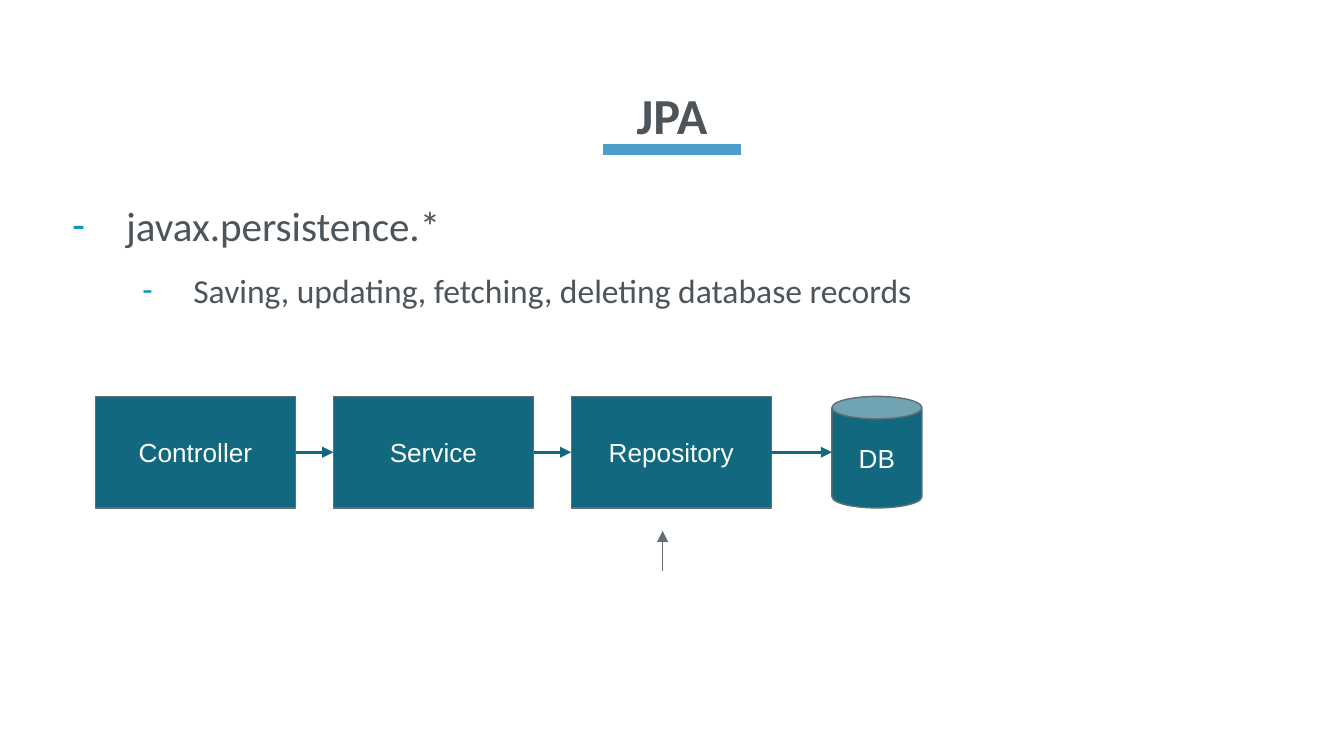
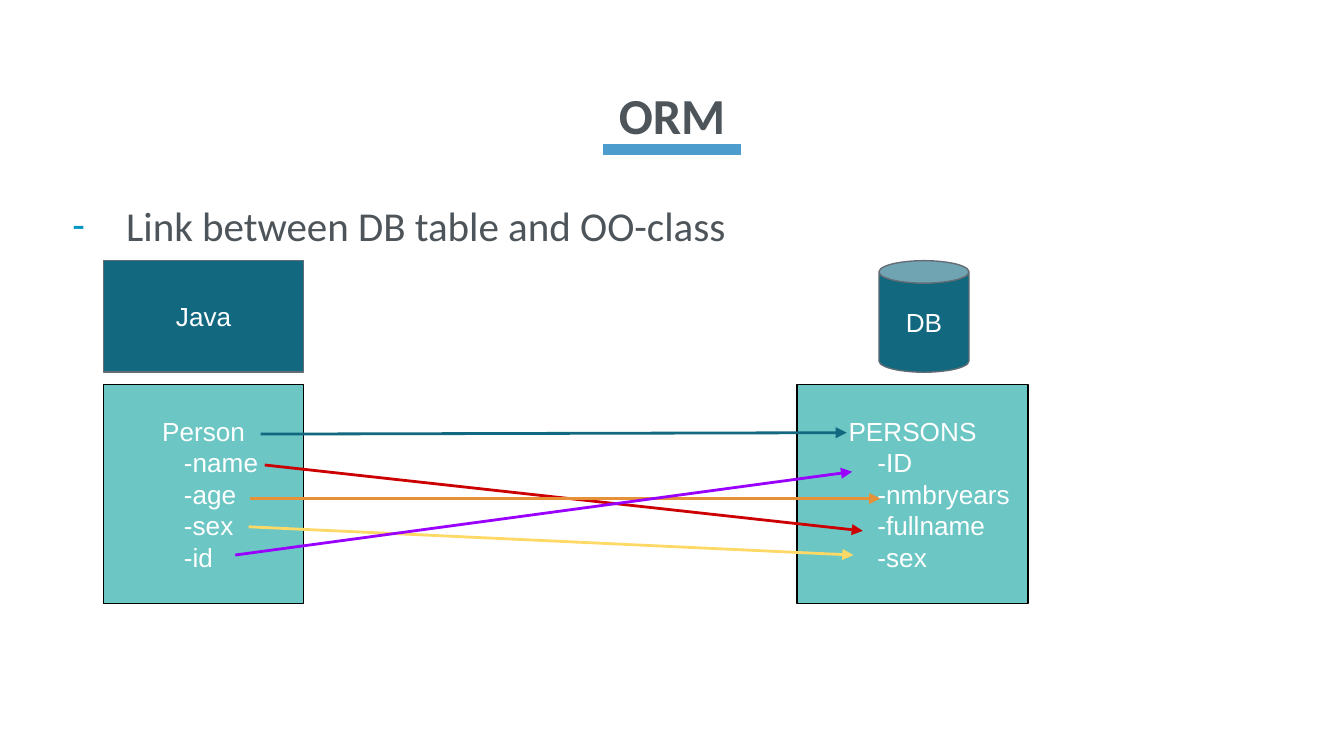
from dataclasses import dataclass
from itertools import pairwise

from lxml.etree import SubElement
from pptx import Presentation
from pptx.dml.color import RGBColor
from pptx.enum.shapes import MSO_CONNECTOR, MSO_SHAPE
from pptx.enum.text import MSO_ANCHOR, PP_ALIGN
from pptx.oxml.ns import qn
from pptx.util import Inches, Pt

COLORS = {
    "text": "4D555B",
    "rule": "4C9DCD",
    "bullet": "0098C3",
    "box": "11687F",
    "outline": "636D75",
    "entity": "6BC6C4",
    "black": "000000",
    "white": "FFFFFF",
    "red": "CC0000",
    "orange": "E69138",
    "yellow": "FFD966",
    "purple": "9900FF",
}
SLIDE_WIDTH = Inches(10)
SLIDE_HEIGHT = SLIDE_WIDTH * 9 // 16
BOX_WIDTH, BOX_HEIGHT = 1.49, 0.83
CAN_WIDTH = 0.67
ENTITY_TOP, ENTITY_HEIGHT = 2.86, 1.63
RECTANGLE, CAN = MSO_SHAPE.RECTANGLE, MSO_SHAPE.CAN


@dataclass(frozen=True)
class Box:
    lines: tuple[str, ...]
    left: float
    top: float
    width: float = BOX_WIDTH
    height: float = BOX_HEIGHT
    kind: MSO_SHAPE = RECTANGLE
    fill: str = "box"
    outline: str = "outline"


@dataclass(frozen=True)
class Arrow:
    start: tuple[float, float]
    end: tuple[float, float]
    color: str = "box"
    width: float = 1.5


@dataclass(frozen=True)
class Bullet:
    text: str
    size: int
    margin: float
    indent: float
    level: int = 0


def rgb(name: str) -> RGBColor:
    return RGBColor.from_string(COLORS[name])


def write_text(paragraph, text: str, *, size: int, color: str = "text", font: str = "Calibri",
               bold: bool = False, align=PP_ALIGN.LEFT, spacing: float = 1.0,
               margin: float = 0, indent: float = 0, bullet: str = "") -> None:
    paragraph.alignment = align
    paragraph.line_spacing = spacing
    run = paragraph.add_run()
    run.text = text
    run.font.name = font
    run.font.size = Pt(size)
    run.font.bold = bold
    run.font.color.rgb = rgb(color)
    properties = paragraph._p.get_or_add_pPr()
    properties.set("marL", str(Inches(margin)))
    properties.set("indent", str(Inches(indent)))
    if bullet:
        bullet_color = SubElement(properties, qn("a:buClr"))
        SubElement(bullet_color, qn("a:srgbClr"), val=COLORS["bullet"])
        SubElement(properties, qn("a:buFont"), typeface=font)
        SubElement(properties, qn("a:buChar"), char=bullet)


def paragraphs_for(text_frame, count: int) -> list:
    return [text_frame.paragraphs[0], *(text_frame.add_paragraph() for _ in range(count - 1))]


def add_text_frame(slide, top: float, height: float, anchor):
    shape = slide.shapes.add_textbox(Inches(0.34), Inches(top), Inches(9.32), Inches(height))
    text_frame = shape.text_frame
    text_frame.word_wrap = True
    text_frame.vertical_anchor = anchor
    return text_frame


def draw_line(slide, line: Arrow, head: bool = True):
    connector = slide.shapes.add_connector(
        MSO_CONNECTOR.STRAIGHT, *(Inches(value) for value in (*line.start, *line.end)))
    connector.line.color.rgb = rgb(line.color)
    connector.line.width = Pt(line.width)
    properties = connector.element.spPr
    if head:
        SubElement(properties.find(qn("a:ln")), qn("a:tailEnd"), type="triangle")
    SubElement(properties, qn("a:effectLst"))
    return connector


def draw_box(slide, box: Box):
    shape = slide.shapes.add_shape(
        box.kind, Inches(box.left), Inches(box.top), Inches(box.width), Inches(box.height))
    shape.shadow.inherit = False
    shape.fill.solid()
    shape.fill.fore_color.rgb = rgb(box.fill)
    shape.line.color.rgb = rgb(box.outline)
    shape.line.width = Pt(0.75)
    text_frame = shape.text_frame
    text_frame.word_wrap = True
    text_frame.vertical_anchor = MSO_ANCHOR.MIDDLE
    text_frame.margin_left = text_frame.margin_right = Inches(0.1)
    text_frame.margin_top = text_frame.margin_bottom = Inches(0.1)
    paragraphs = paragraphs_for(text_frame, len(box.lines))
    for index, (paragraph, text) in enumerate(zip(paragraphs, box.lines)):
        write_text(paragraph, text, size=14, color="white", font="Arial",
                   align=PP_ALIGN.LEFT if index else PP_ALIGN.CENTER,
                   margin=0.5 if index else 0)
    return shape


def add_content_slide(presentation, title: str, bullets: tuple[Bullet, ...]):
    slide = presentation.slides.add_slide(presentation.slide_layouts[6])
    draw_line(slide, Arrow((4.49, 1.11), (5.51, 1.11), "rule", 6), head=False)
    heading = add_text_frame(slide, 0.49, 0.63, MSO_ANCHOR.BOTTOM)
    write_text(heading.paragraphs[0], title, size=27, bold=True,
               align=PP_ALIGN.CENTER, spacing=0.8)
    body = add_text_frame(slide, 1.26, 3.74, MSO_ANCHOR.TOP)
    for paragraph, bullet in zip(paragraphs_for(body, len(bullets)), bullets):
        paragraph.level = bullet.level
        write_text(paragraph, bullet.text, size=bullet.size, spacing=1.5,
                   margin=bullet.margin, indent=bullet.indent, bullet="-")
    return slide


def build_jpa_slide(presentation) -> None:
    slide = add_content_slide(presentation, "JPA", (
        Bullet("javax.persistence.*", 22, 0.5, -0.4),
        Bullet("Saving, updating, fetching, deleting database records", 18, 1, -0.38, 1),
    ))
    top = 2.95
    middle = top + BOX_HEIGHT / 2
    database_left = 6.19
    layers = [
        draw_box(slide, Box((name,), 0.71 + 1.77 * index, top))
        for index, name in enumerate(("Controller", "Service", "Repository"))
    ]
    draw_box(slide, Box(("DB",), database_left, top, CAN_WIDTH, kind=CAN))
    for source, target in pairwise(layers):
        connector = draw_line(slide, Arrow((0, middle), (1, middle)))
        connector.begin_connect(source, 3)
        connector.end_connect(target, 1)
    database_arrow = draw_line(slide, Arrow((5.74, middle), (database_left, middle)))
    database_arrow.begin_connect(layers[-1], 3)
    draw_line(slide, Arrow((4.93, 4.25), (4.93, 3.95), "outline", 0.75))


def build_orm_slide(presentation) -> None:
    slide = add_content_slide(presentation, "ORM", (
        Bullet("Link between DB table and OO-class", 22, 0.5, -0.4),
    ))
    java_left, top = 0.77, 1.94
    person = ("Person", "-name", "-age", "-sex", "-id")
    persons = ("PERSONS", "-ID", "-nmbryears", "-fullname", "-sex")
    boxes = (
        Box(("Java",), java_left, top),
        Box(("DB",), 6.54, top, CAN_WIDTH, kind=CAN),
        Box(person, java_left, ENTITY_TOP, height=ENTITY_HEIGHT, fill="entity", outline="black"),
        Box(persons, 5.93, ENTITY_TOP, 1.72, ENTITY_HEIGHT, fill="entity", outline="black"),
    )
    mappings = (
        Arrow((1.97, 3.46), (6.42, 3.95), "red"),
        Arrow((1.86, 3.71), (6.55, 3.71), "orange"),
        Arrow((1.85, 3.92), (6.35, 4.13), "yellow"),
        Arrow((1.75, 4.13), (6.34, 3.51), "purple"),
        Arrow((1.94, 3.23), (6.3, 3.22)),
    )
    for box in boxes:
        draw_box(slide, box)
    for mapping in mappings:
        draw_line(slide, mapping)


def main() -> None:
    presentation = Presentation()
    presentation.slide_width = SLIDE_WIDTH
    presentation.slide_height = SLIDE_HEIGHT
    build_jpa_slide(presentation)
    build_orm_slide(presentation)
    presentation.save("out.pptx")


if __name__ == "__main__":
    main()
